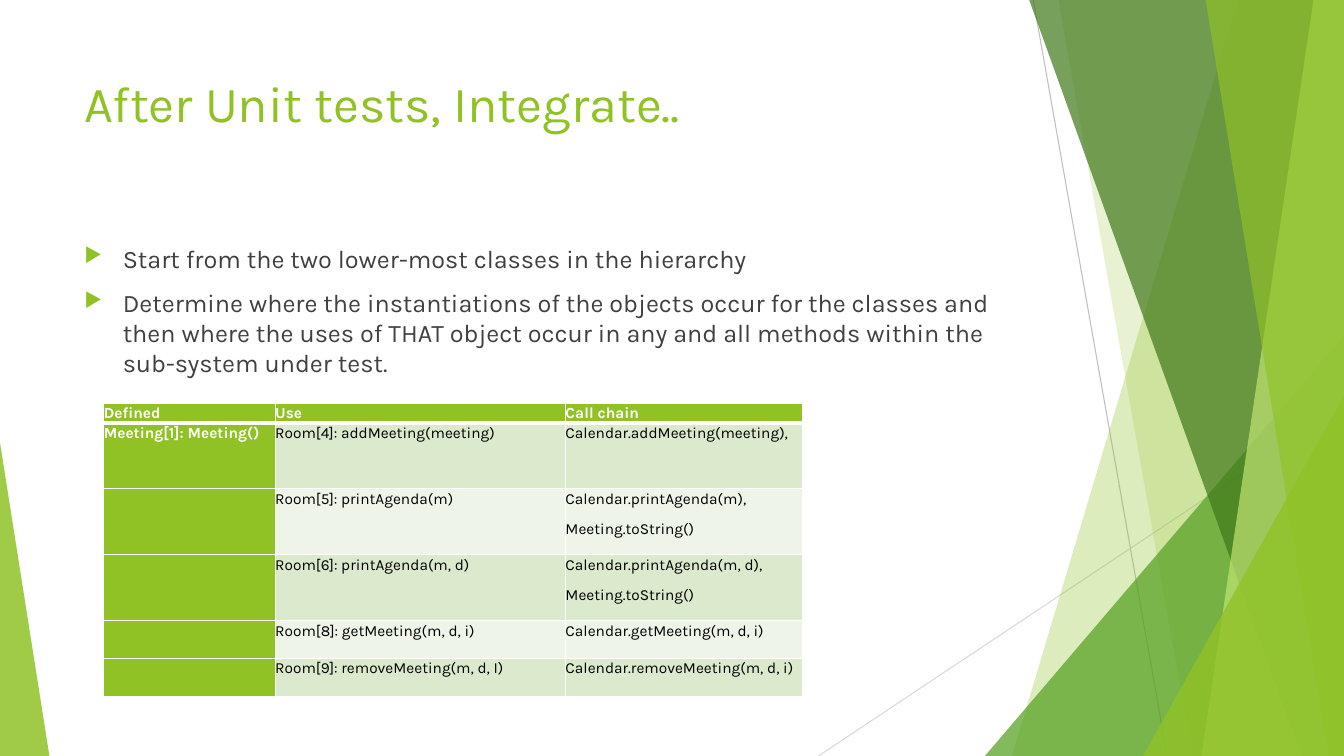
from dataclasses import dataclass

from lxml import etree
from pptx import Presentation
from pptx.dml.color import RGBColor
from pptx.enum.shapes import MSO_CONNECTOR, MSO_SHAPE
from pptx.oxml.ns import qn
from pptx.util import Emu, Inches, Pt

STRAIGHT = MSO_CONNECTOR.STRAIGHT
TRIANGLE = MSO_SHAPE.ISOSCELES_TRIANGLE
WIDTH, HEIGHT = Inches(13.33), Inches(7.5)

COLORS = {
    "lime": "90C226",
    "green": "54A021",
    "forest": "3F7819",
    "pale": "C0E474",
    "band_dark": "DBE9CD",
    "band_light": "EEF4E8",
    "gray": "BFBFBF",
    "silver": "D9D9D9",
    "text": "404040",
    "black": "000000",
    "white": "FFFFFF",
}
TITLE_FONT = {"name": "Karla", "size": Pt(36)}
BODY_FONT = {"name": "Karla", "size": Pt(18)}
HEAD_FONT = {"name": "Karla", "size": Pt(11), "bold": True}
CELL_FONT = {"name": "Karla", "size": Pt(11), "bold": False}
BULLET_SPACING = {"space_before": Pt(10)}
CELL_SPACING = {"line_spacing": 1.07, "space_after": Pt(8)}
NO_MARGINS = {f"margin_{side}": 0 for side in ("left", "right", "top", "bottom")}


@dataclass
class Ray:
    x1: float
    y1: float
    x2: float
    y2: float
    color: str


@dataclass
class Shard:
    top_x: float
    bottom_x: float
    color: str
    alpha: int


@dataclass
class Corner:
    left: float
    top: float
    width: float
    apex: float
    color: str
    alpha: int


@dataclass
class TextBlock:
    top: float
    height: float
    lines: list[str]
    font: dict
    color: str
    bulleted: bool = False


RAYS = [
    Ray(76.88, 0, 86.85, 100, "gray"),
    Ray(100, 53.73, 60.9, 100, "silver"),
]
FACETS = [
    Shard(92.1, 75.3, "lime", 30),
    Shard(78.75, 88.73, "lime", 20),
    Corner(73.28, 44.4, 26.72, 1, "green", 72),
    Shard(76.58, 96.83, "forest", 70),
    Shard(97.73, 89.4, "pale", 70),
    Shard(89.7, 98.85, "lime", 65),
    Corner(85.05, 52.4, 14.95, 1, "lime", 80),
    Corner(0, 58.53, 3.68, 0, "lime", 85),
]
TEXTS = [
    TextBlock(8.93, 19.2, ["After Unit tests, Integrate.."], TITLE_FONT, "lime"),
    TextBlock(31.47, 56.53, [
        "Start from the two lower-most classes in the hierarchy",
        "Determine where the instantiations of the objects occur for the classes and "
        "then where the uses of THAT object occur in any and all methods within the "
        "sub-system under test.",
    ], BODY_FONT, "text", True),
]
COLUMNS = [12.75, 21.6, 17.63]
ROWS = [2.4, 8.72, 8.72, 8.72, 5, 5]
CALLS = [
    ("Defined", "Use", "Call chain"),
    ("Meeting[1]: Meeting()", "Room[4]: addMeeting(meeting)", "Calendar.addMeeting(meeting),"),
    ("", "Room[5]: printAgenda(m)", "Calendar.printAgenda(m),\nMeeting.toString()"),
    ("", "Room[6]: printAgenda(m, d)", "Calendar.printAgenda(m, d),\nMeeting.toString()"),
    ("", "Room[8]: getMeeting(m, d, i)", "Calendar.getMeeting(m, d, i)"),
    ("", "Room[9]: removeMeeting(m, d, I)", "Calendar.removeMeeting(m, d, i)"),
]


def col(share: float) -> Emu:
    return Emu(round(WIDTH * share / 100))


def row(share: float) -> Emu:
    return Emu(round(HEIGHT * share / 100))


def rgb(name: str) -> RGBColor:
    return RGBColor.from_string(COLORS[name])


def apply(target, values: dict) -> None:
    for key, value in values.items():
        setattr(target, key, value)


def paint(target, color: str) -> None:
    target.fill.solid()
    target.fill.fore_color.rgb = rgb(color)


def write(tf, lines: list[str], font: dict, color: str, spacing: dict) -> None:
    for i, line in enumerate(lines):
        p = tf.add_paragraph() if i else tf.paragraphs[0]
        apply(p, spacing)
        r = p.add_run()
        r.text = line
        apply(r.font, font)
        r.font.color.rgb = rgb(color)


def add_bullet(p) -> None:
    pPr = p._p.get_or_add_pPr()
    pPr.set("marL", str(Inches(0.38)))
    pPr.set("indent", str(Inches(-0.38)))
    clr = etree.SubElement(pPr, qn("a:buClr"))
    etree.SubElement(clr, qn("a:srgbClr"), val=COLORS["lime"])
    etree.SubElement(pPr, qn("a:buSzPct"), val="80000")
    etree.SubElement(pPr, qn("a:buChar"), char="▶")


def add_ray(s, ray: Ray) -> None:
    line = s.shapes.add_connector(STRAIGHT, col(ray.x1), row(ray.y1), col(ray.x2), row(ray.y2))
    line.line.color.rgb = rgb(ray.color)
    line.line.width = Pt(0.75)
    etree.SubElement(line._element.spPr, qn("a:effectLst"))


def add_facet(s, facet: Shard | Corner) -> None:
    if isinstance(facet, Shard):
        points = [(100, 0), (100, 100), (facet.bottom_x, 100)]
        builder = s.shapes.build_freeform(col(facet.top_x), row(0))
        builder.add_line_segments([(col(x), row(y)) for x, y in points], close=True)
        sp = builder.convert_to_shape()
    else:
        sp = s.shapes.add_shape(TRIANGLE, col(facet.left), row(facet.top),
                                col(facet.width), row(100 - facet.top))
        sp.adjustments[0] = facet.apex
    sp.shadow.inherit = False
    sp.line.fill.background()
    paint(sp, facet.color)
    clr = sp._element.spPr.find(qn("a:solidFill"))[0]
    etree.SubElement(clr, qn("a:alpha"), val=str(facet.alpha * 1000))


def add_text(s, block: TextBlock) -> None:
    tf = s.shapes.add_textbox(col(5.55), row(block.top), col(70.5), row(block.height)).text_frame
    tf.word_wrap = True
    write(tf, block.lines, block.font, block.color, BULLET_SPACING if block.bulleted else {})
    if block.bulleted:
        for p in tf.paragraphs:
            add_bullet(p)


def add_borders(cell, row_index: int) -> None:
    widths = {"L": 1, "R": 1, "T": 3 if row_index == 1 else 1, "B": 3 if row_index == 0 else 1}
    for side, width in widths.items():
        ln = etree.SubElement(cell._tc.get_or_add_tcPr(), qn(f"a:ln{side}"), w=str(Pt(width)))
        fill = etree.SubElement(ln, qn("a:solidFill"))
        etree.SubElement(fill, qn("a:srgbClr"), val=COLORS["white"])


def add_calls_table(s) -> None:
    table = s.shapes.add_table(len(ROWS), len(COLUMNS), col(7.73), row(53.33),
                               col(sum(COLUMNS)), row(sum(ROWS))).table
    for column, share in zip(table.columns, COLUMNS):
        column.width = col(share)
    for i, (table_row, share) in enumerate(zip(table.rows, ROWS)):
        table_row.height = row(share)
        for j, cell in enumerate(table_row.cells):
            head = i == 0 or j == 0
            apply(cell, NO_MARGINS)
            add_borders(cell, i)
            paint(cell, "lime" if head else "band_dark" if i % 2 else "band_light")
            if CALLS[i][j]:
                write(cell.text_frame, CALLS[i][j].split("\n"), HEAD_FONT if head else CELL_FONT,
                      "white" if head else "black", CELL_SPACING)


def main() -> None:
    prs = Presentation()
    prs.slide_width, prs.slide_height = WIDTH, HEIGHT
    s = prs.slides.add_slide(prs.slide_layouts[6])
    for ray in RAYS:
        add_ray(s, ray)
    for facet in FACETS:
        add_facet(s, facet)
    for block in TEXTS:
        add_text(s, block)
    add_calls_table(s)
    prs.save("out.pptx")


if __name__ == "__main__":
    main()
